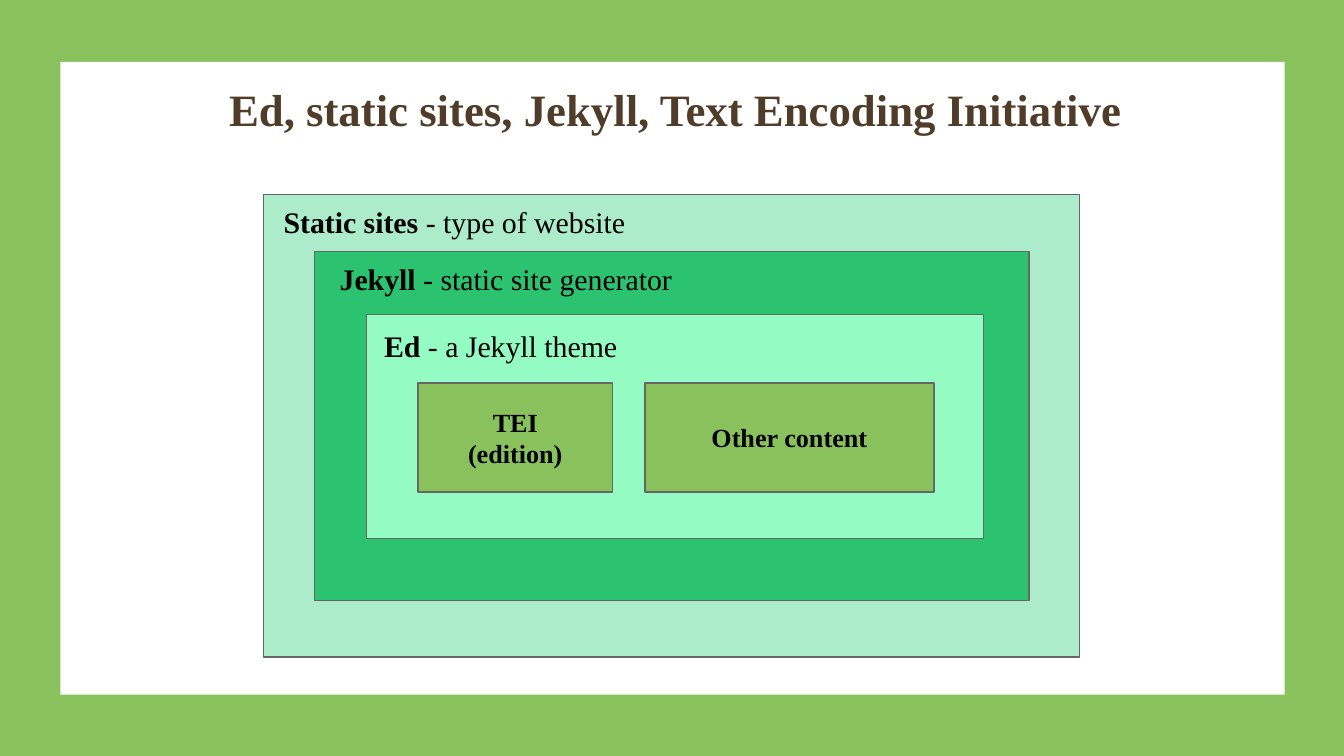
from copy import deepcopy
from dataclasses import dataclass

from pptx import Presentation
from pptx.dml.color import RGBColor
from pptx.enum.shapes import MSO_SHAPE
from pptx.enum.text import MSO_ANCHOR, PP_ALIGN
from pptx.util import Cm, Pt

RECTANGLE = MSO_SHAPE.RECTANGLE
TOP, MIDDLE, BOTTOM = MSO_ANCHOR.TOP, MSO_ANCHOR.MIDDLE, MSO_ANCHOR.BOTTOM
LEFT, CENTER = PP_ALIGN.LEFT, PP_ALIGN.CENTER

GREEN = RGBColor(0x89, 0xC2, 0x5C)
WHITE = RGBColor(0xFF, 0xFF, 0xFF)
BLACK = RGBColor(0x00, 0x00, 0x00)
BROWN = RGBColor(0x4F, 0x3D, 0x29)
GREY = RGBColor(0x66, 0x66, 0x66)
PALE_MINT = RGBColor(0xAD, 0xEC, 0xCA)
EMERALD = RGBColor(0x2B, 0xC3, 0x6F)
BRIGHT_MINT = RGBColor(0x94, 0xFC, 0xC2)

FONT = "Times New Roman"
LABEL_HEIGHT = 1.52


@dataclass(frozen=True)
class Area:
    """A place on the slide, in centimetres."""
    left: float
    top: float
    width: float
    height: float

    def lengths(self) -> tuple:
        return Cm(self.left), Cm(self.top), Cm(self.width), Cm(self.height)


@dataclass(frozen=True)
class Layer:
    area: Area
    fill: RGBColor
    label_area: Area
    term: str
    meaning: str


@dataclass(frozen=True)
class Content:
    area: Area
    text: str


LAYERS = [
    Layer(Area(4.98, 3.68, 15.42, 8.74), PALE_MINT,
          Area(5.11, 3.61, 10.16, LABEL_HEIGHT), "Static sites ", "- type of website"),
    Layer(Area(5.94, 4.75, 13.51, 6.6), EMERALD,
          Area(6.17, 4.67, 8.97, LABEL_HEIGHT), "Jekyll", " - static site generator"),
    Layer(Area(6.93, 5.94, 11.66, 4.24), BRIGHT_MINT,
          Area(7.01, 5.94, 8.48, LABEL_HEIGHT), "Ed ", "- a Jekyll theme"),
]
CONTENTS = [
    Content(Area(7.9, 7.24, 3.68, 2.06), "TEI\n(edition)"),
    Content(Area(12.19, 7.24, 5.46, 2.06), "Other content"),
]


def set_values(target, values: dict) -> None:
    for name, value in values.items():
        setattr(target, name, value)


def add_rectangle(slide, area: Area, fill: RGBColor, outlined: bool = True):
    box = slide.shapes.add_shape(RECTANGLE, *area.lengths())
    box.shadow.inherit = False
    box.fill.solid()
    box.fill.fore_color.rgb = fill
    if outlined:
        box.line.color.rgb = GREY
        box.line.width = Pt(0.75)
    else:
        box.line.fill.background()
    return box


def write(box, parts: list[tuple[str, bool]], size: float, color: RGBColor = BLACK,
          align=LEFT, anchor=TOP) -> None:
    """Fill a box with one paragraph of (text, bold) parts; a newline breaks the line."""
    inset = Cm(0.25)
    set_values(box.text_frame, {
        "word_wrap": True, "vertical_anchor": anchor,
        "margin_left": inset, "margin_right": inset,
        "margin_top": inset, "margin_bottom": inset,
    })
    para = box.text_frame.paragraphs[0]
    para.alignment = align
    for text, bold in parts:
        for index, line in enumerate(text.split("\n")):
            if index:
                para.add_line_break()
                # The break takes the size of the text before it
                para._p[-1].append(deepcopy(span.font._element))
            span = para.add_run()
            span.text = line
            set_values(span.font, {"name": FONT, "size": Pt(size), "bold": bold})
            span.font.color.rgb = color


def add_layer(slide, layer: Layer) -> None:
    add_rectangle(slide, layer.area, layer.fill)
    label = slide.shapes.add_textbox(*layer.label_area.lengths())
    write(label, [(layer.term, True), (layer.meaning, False)], 16)


def add_content(slide, content: Content) -> None:
    box = add_rectangle(slide, content.area, GREEN)
    write(box, [(content.text, True)], 14, align=CENTER, anchor=MIDDLE)


def add_title(slide, text: str) -> None:
    title = slide.shapes.title
    left, top, width, height = Area(2.18, 1.73, 21.16, 1.09).lengths()
    set_values(title, {"left": left, "top": top, "width": width, "height": height})
    write(title, [(text, True)], 24, BROWN, CENTER, BOTTOM)


def main() -> None:
    deck = Presentation()
    deck.slide_width, deck.slide_height = Cm(25.4), Cm(14.29)
    title_only = deck.slide_layouts[5]
    slide = deck.slides.add_slide(title_only)
    slide.background.fill.solid()
    slide.background.fill.fore_color.rgb = GREEN

    panel = add_rectangle(slide, Area(1.14, 1.17, 23.14, 11.96), WHITE, outlined=False)
    slide.shapes.title._element.addprevious(panel._element)
    add_title(slide, "Ed, static sites, Jekyll, Text Encoding Initiative")
    for layer in LAYERS:
        add_layer(slide, layer)
    for content in CONTENTS:
        add_content(slide, content)

    deck.save("out.pptx")


if __name__ == "__main__":
    main()
